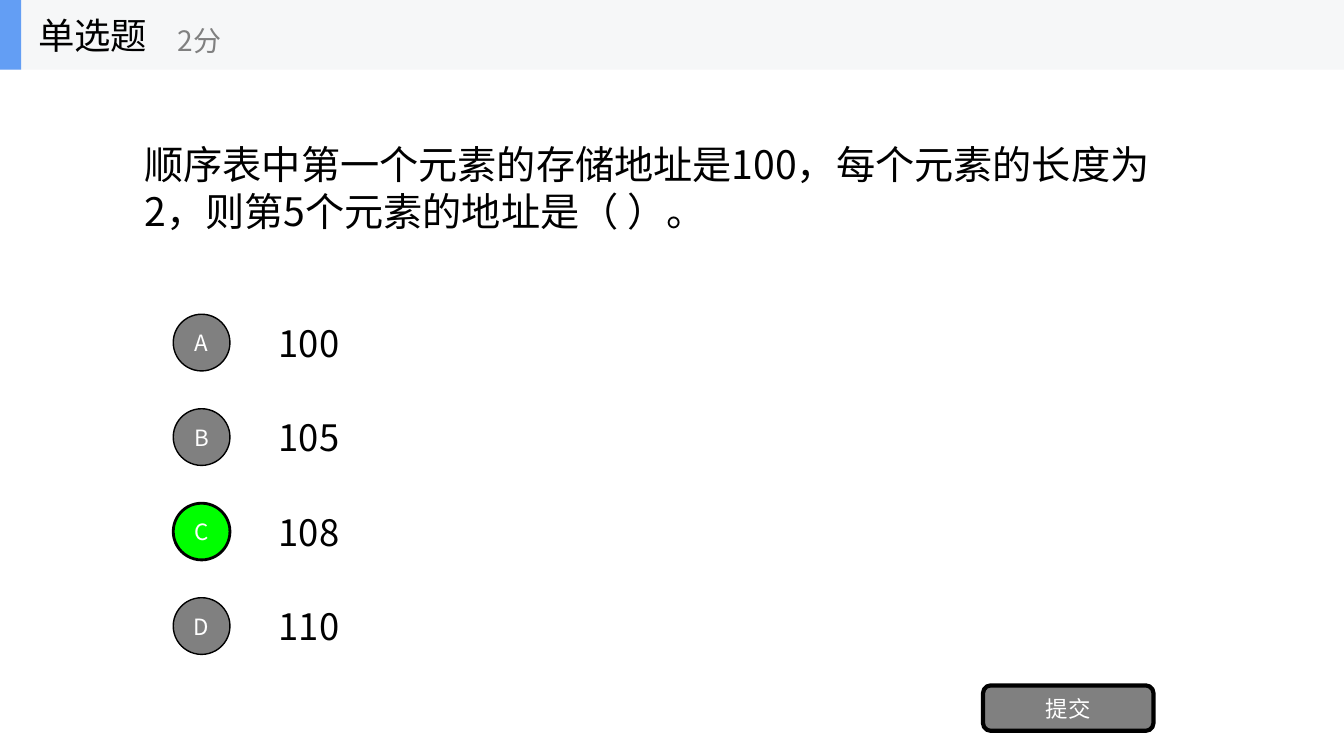
from lxml import etree
from pptx import Presentation, util as u
from pptx.dml.color import RGBColor
from pptx.enum import shapes, text
from pptx.oxml import ns

BLACK = RGBColor(0x00, 0x00, 0x00)
WHITE = RGBColor(0xFF, 0xFF, 0xFF)
GRAY = RGBColor(0x80, 0x80, 0x80)
GREEN = RGBColor(0x00, 0xFF, 0x00)
PALE = RGBColor(0xF6, 0xF7, 0xF8)
BLUE = RGBColor(0x63, 0x9E, 0xF4)
FONT = "Noto Sans CJK SC"

deck = Presentation()
deck.slide_width, deck.slide_height = u.Inches(13.33), u.Inches(7.5)
W, H = deck.slide_width, deck.slide_height
slide = deck.slides.add_slide(deck.slide_layouts[5])


def write(holder, words, size, color, align=text.PP_ALIGN.LEFT, wrap=True):
    frame = holder.text_frame
    frame.word_wrap = wrap
    frame.auto_size = text.MSO_AUTO_SIZE.NONE
    frame.vertical_anchor = text.MSO_ANCHOR.MIDDLE
    paragraph = frame.paragraphs[0]
    paragraph.alignment = align
    run = paragraph.add_run()
    run.text = words
    run.font.size = u.Pt(size)
    run.font.color.rgb = color
    run.font.name = FONT
    latin = run.font._element.find(ns.qn("a:latin"))
    east_asian = etree.Element(ns.qn("a:ea"), typeface=FONT)
    latin.addnext(east_asian)


def block(parent, kind, box, fill, border=0, label=""):
    part = parent.add_shape(kind, *map(int, box))
    part.shadow.inherit = False
    part.fill.solid()
    part.fill.fore_color.rgb = fill
    if border:
        part.line.color.rgb = BLACK
        part.line.width = u.Pt(border)
    else:
        part.line.fill.background()
    if label:
        frame = part.text_frame
        frame.margin_left = frame.margin_right = 0
        frame.margin_top = frame.margin_bottom = 0
        write(part, label, 16, WHITE, text.PP_ALIGN.CENTER)


header_height = u.Inches(0.69)
row_pitch = H / 8
answer_height = row_pitch * 0.75
bullet_size = row_pitch * 0.6
first_row = H * 13 / 32

question = slide.shapes.title
question.left, question.top = int(W * 0.1), header_height
question.width, question.height = int(W * 0.8), int(H * 10 / 32)
write(question, "顺序表中第一个元素的存储地址是100，每个元素的长度为2，则第5个元素的地址是（ ）。", 28, BLACK)

options = [("A", "100"), ("B", "105"), ("C", "108"), ("D", "110")]
correct = "C"
for row, (letter, value) in enumerate(options):
    top = first_row + row * row_pitch
    answer = slide.shapes.add_textbox(
        int(W * 0.2), int(top), int(W * 0.7), int(answer_height))
    write(answer, value, 26, BLACK)
    block(slide.shapes, shapes.MSO_SHAPE.OVAL,
          (W * 0.15 - bullet_size / 2, top + (answer_height - bullet_size) / 2,
           bullet_size, bullet_size),
          GREEN if letter == correct else GRAY, 2 if letter == correct else 1, letter)

block(slide.shapes, shapes.MSO_SHAPE.ROUNDED_RECTANGLE,
      (u.Inches(9.75), u.Inches(6.8), u.Inches(1.69), H * 0.06), GRAY, 3, "提交")

header = slide.shapes.add_group_shape().shapes
for width, fill in [(W, PALE), (u.Inches(0.21), BLUE)]:
    block(header, shapes.MSO_SHAPE.RECTANGLE, (0, 0, width, header_height), fill)

question_type = header.add_textbox(u.Inches(0.28), 0, u.Inches(2.08), header_height)
write(question_type, "单选题", 26, BLACK, wrap=False)
score = header.add_textbox(int(W / 8), u.Inches(0.12), u.Inches(2.5), int(H * 0.075))
write(score, "2分", 20, GRAY, wrap=False)

deck.save("out.pptx")
